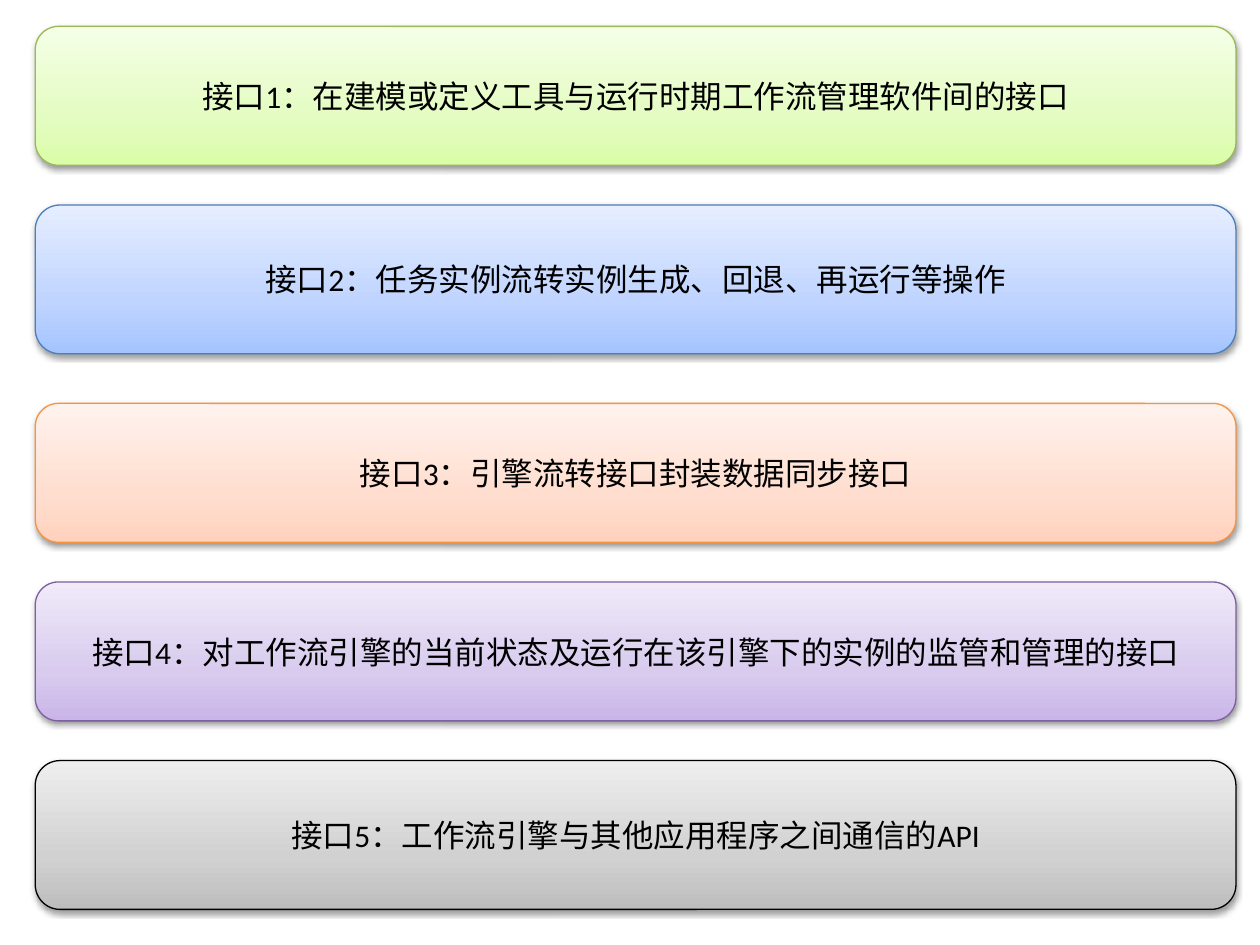
from copy import deepcopy

from lxml import etree
from pptx import Presentation
from pptx.dml.color import RGBColor
from pptx.enum.shapes import MSO_SHAPE
from pptx.enum.text import MSO_ANCHOR, PP_ALIGN
from pptx.oxml.ns import qn
from pptx.util import Inches, Mm, Pt

ROUNDED = MSO_SHAPE.ROUNDED_RECTANGLE
MIDDLE = MSO_ANCHOR.MIDDLE
CENTER = PP_ALIGN.CENTER

BLACK = RGBColor(0x00, 0x00, 0x00)
GREEN_LINE = RGBColor(0x98, 0xB9, 0x55)
GREEN_FILL = (RGBColor(0xDA, 0xFD, 0xA7), RGBColor(0xE4, 0xFC, 0xC2), RGBColor(0xF5, 0xFF, 0xE7))
BLUE_LINE = RGBColor(0x4B, 0x7E, 0xBC)
BLUE_FILL = (RGBColor(0xA4, 0xC4, 0xFF), RGBColor(0xBF, 0xD4, 0xFF), RGBColor(0xE6, 0xEE, 0xFF))
ORANGE_LINE = RGBColor(0xF6, 0x92, 0x40)
ORANGE_FILL = (RGBColor(0xFF, 0xD2, 0xBD), RGBColor(0xFF, 0xDE, 0xD0), RGBColor(0xFF, 0xF2, 0xED))
PURPLE_LINE = RGBColor(0x7D, 0x60, 0xA0)
PURPLE_FILL = (RGBColor(0xC9, 0xB5, 0xE8), RGBColor(0xD8, 0xCB, 0xEE), RGBColor(0xF0, 0xEA, 0xF9))
GRAY_FILL = (RGBColor(0xBD, 0xBD, 0xBD), RGBColor(0xD1, 0xD1, 0xD1), RGBColor(0xEE, 0xEE, 0xEE))

STOP_POSITIONS = (0, 0.35, 1)
ROW = Mm(2)
FIRST_TOP = Inches(0.21)
BAR_LEFT = Inches(0.28)
BAR_WIDTH = Inches(9.53)
FONT_FORMAT = {"name": "Calibri", "size": Pt(18)}
SHADOW_FORMAT = {"blurRad": "40000", "dist": "20000", "dir": "5400000", "rotWithShape": "0"}

BARS = [
    (0, 14, "接口1：在建模或定义工具与运行时期工作流管理软件间的接口", GREEN_LINE, GREEN_FILL),
    (18, 15, "接口2：任务实例流转实例生成、回退、再运行等操作", BLUE_LINE, BLUE_FILL),
    (38, 14, "接口3：引擎流转接口封装数据同步接口", ORANGE_LINE, ORANGE_FILL),
    (56, 14, "接口4：对工作流引擎的当前状态及运行在该引擎下的实例的监管和管理的接口", PURPLE_LINE, PURPLE_FILL),
    (74, 15, "接口5：工作流引擎与其他应用程序之间通信的API", BLACK, GRAY_FILL),
]


def set_gradient(shape, colors):
    shape.fill.gradient()
    shape.fill.gradient_angle = 90
    stop_list = shape.element.spPr.find(qn("a:gradFill")).find(qn("a:gsLst"))
    stop_list.insert(1, deepcopy(stop_list[0]))
    for stop, position, color in zip(shape.fill.gradient_stops, STOP_POSITIONS, colors):
        stop.position = position
        stop.color.rgb = color


def set_shadow(shape):
    shape.shadow.inherit = False
    effects = shape.element.spPr.find(qn("a:effectLst"))
    shadow = etree.SubElement(effects, qn("a:outerShdw"), SHADOW_FORMAT)
    color = etree.SubElement(shadow, qn("a:srgbClr"), {"val": str(BLACK)})
    etree.SubElement(color, qn("a:alpha"), {"val": "38000"})


def set_label(shape, text):
    frame = shape.text_frame
    frame.word_wrap = True
    frame.vertical_anchor = MIDDLE
    paragraph = frame.paragraphs[0]
    paragraph.alignment = CENTER
    run = paragraph.add_run()
    run.text = text
    for name, value in FONT_FORMAT.items():
        setattr(run.font, name, value)
    run.font.color.rgb = BLACK


def add_bar(slide, row, rows, text, line_color, fill_colors):
    shape = slide.shapes.add_shape(
        ROUNDED, BAR_LEFT, FIRST_TOP + row * ROW, BAR_WIDTH, rows * ROW
    )
    set_gradient(shape, fill_colors)
    shape.line.color.rgb = line_color
    shape.line.width = Pt(0.75)
    set_shadow(shape)
    set_label(shape, text)


def main():
    presentation = Presentation()
    presentation.slide_width = Inches(10)
    presentation.slide_height = Inches(7.5)
    slide = presentation.slides.add_slide(presentation.slide_layouts[6])
    for bar in BARS:
        add_bar(slide, *bar)
    presentation.save("out.pptx")


if __name__ == "__main__":
    main()
